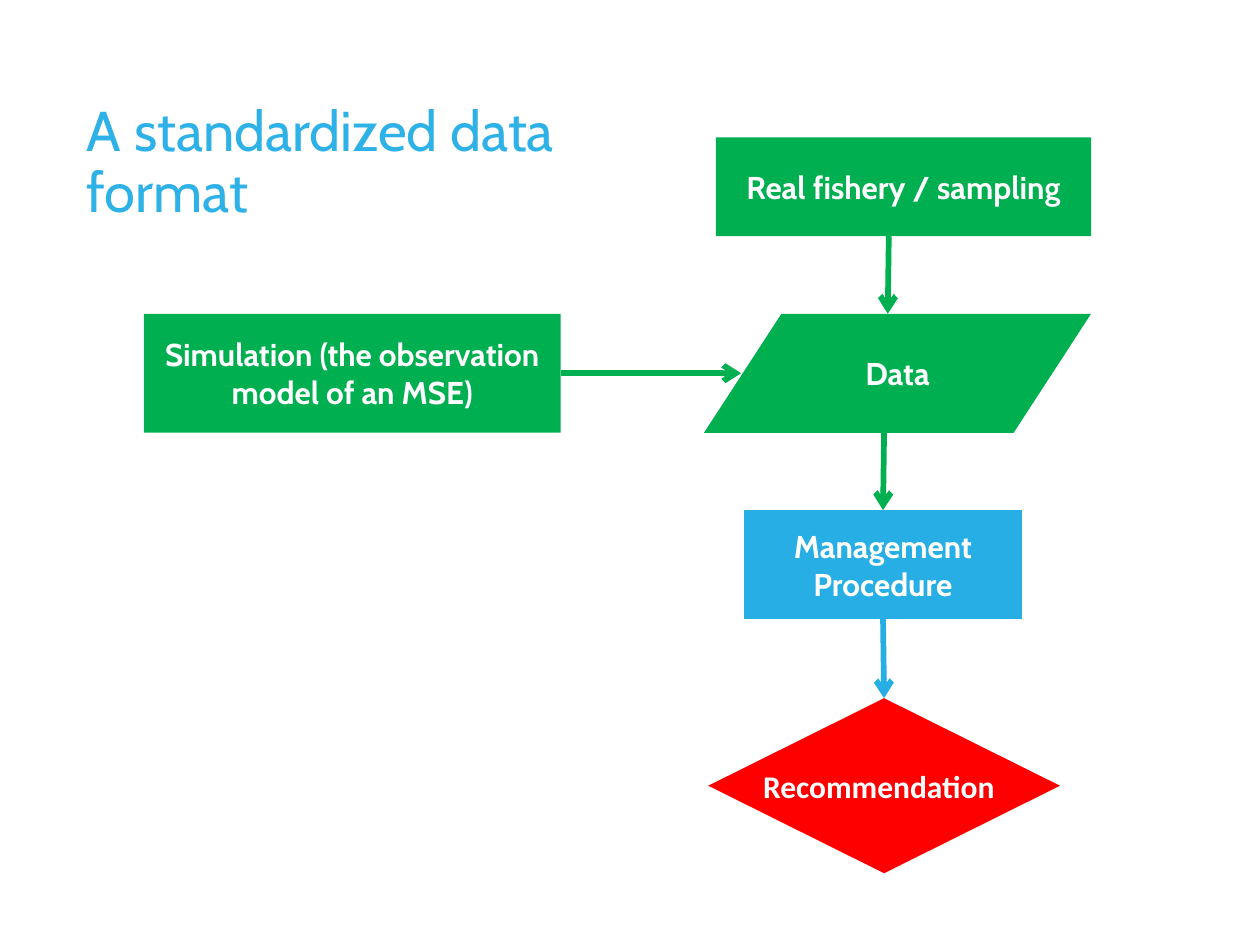
from dataclasses import dataclass

from lxml import etree
from pptx import Presentation
from pptx.dml.color import RGBColor
from pptx.enum import shapes, text
from pptx.oxml import ns
from pptx.slide import Slide
from pptx.text.text import TextFrame
from pptx.util import Pt


@dataclass(frozen=True)
class Theme:
    heading: str = "2EB1E6"
    data: str = "00B050"
    procedure: str = "27AFE5"
    advice: str = "FF0000"
    label: str = "FFFFFF"
    font: str = "Cabin"
    advice_font: str = "Calibri"
    heading_size: float = 32
    label_size: float = 18
    arrow_width: float = 3.25


@dataclass(frozen=True)
class Step:
    """A flow chart step; lengths are in points."""
    label: str
    kind: shapes.MSO_SHAPE
    left: float
    top: float
    width: float
    height: float
    color: str

    @property
    def bottom(self) -> float:
        return self.top + self.height

    @property
    def right(self) -> float:
        return self.left + self.width

    @property
    def middle(self) -> float:
        return self.top + self.height / 2


@dataclass(frozen=True)
class Flow:
    """An arrow between two points; lengths are in points."""
    x1: float
    y1: float
    x2: float
    y2: float
    color: str


THEME = Theme()
KIND = shapes.MSO_SHAPE

FISHERY = Step("Real fishery / sampling", KIND.RECTANGLE,
               409, 78.5, 214.5, 56.5, THEME.data)
SIMULATION = Step("Simulation (the observation model of an MSE)", KIND.RECTANGLE,
                  82.2, 179.3, 238.2, 68, THEME.data)
DATA = Step("Data", KIND.FLOWCHART_DATA,
            402.3, 179.3, 221.2, 68, THEME.data)
PROCEDURE = Step("Management Procedure", KIND.FLOWCHART_PROCESS,
                 425.2, 291.5, 158.6, 62.3, THEME.procedure)
ADVICE = Step("", KIND.FLOWCHART_DECISION,
              404.7, 399, 201, 100, THEME.advice)
STEPS = (FISHERY, SIMULATION, DATA, PROCEDURE, ADVICE)

FLOWS = (
    Flow(507.9, FISHERY.bottom, 507.3, DATA.top, THEME.data),
    Flow(SIMULATION.right, SIMULATION.middle, 423.5, DATA.middle, THEME.data),
    Flow(505.2, DATA.bottom, 504.6, PROCEDURE.top, THEME.data),
    Flow(504.6, PROCEDURE.bottom, 505.2, ADVICE.top, THEME.procedure),
)


def style_text(frame: TextFrame, font_name: str, size: float, color: str,
               bold: bool, align: text.PP_ALIGN) -> None:
    for paragraph in frame.paragraphs:
        paragraph.alignment = align
        for run in paragraph.runs:
            run.font.name = font_name
            run.font.size = Pt(size)
            run.font.bold = bold
            run.font.color.rgb = RGBColor.from_string(color)


def add_heading(slide: Slide) -> None:
    heading = slide.shapes.title
    heading.left, heading.top = Pt(42.5), Pt(20.9)
    heading.width, heading.height = Pt(288), Pt(145.4)
    frame = heading.text_frame
    frame.text = "A standardized data format"
    frame.vertical_anchor = text.MSO_ANCHOR.MIDDLE
    frame.paragraphs[0].line_spacing = 0.9
    style_text(frame, THEME.font, THEME.heading_size, THEME.heading,
               False, text.PP_ALIGN.LEFT)


def add_step(slide: Slide, step: Step) -> None:
    box = slide.shapes.add_shape(step.kind, Pt(step.left), Pt(step.top),
                                 Pt(step.width), Pt(step.height))
    box.shadow.inherit = False
    box.fill.solid()
    box.fill.fore_color.rgb = RGBColor.from_string(step.color)
    box.line.fill.background()
    if step.label:
        frame = box.text_frame
        frame.text = step.label
        frame.word_wrap = True
        frame.vertical_anchor = text.MSO_ANCHOR.MIDDLE
        style_text(frame, THEME.font, THEME.label_size, THEME.label,
                   True, text.PP_ALIGN.CENTER)


def add_flow(slide: Slide, flow: Flow) -> None:
    arrow = slide.shapes.add_connector(
        shapes.MSO_CONNECTOR.STRAIGHT,
        Pt(flow.x1), Pt(flow.y1), Pt(flow.x2), Pt(flow.y2))
    arrow.line.color.rgb = RGBColor.from_string(flow.color)
    arrow.line.width = Pt(THEME.arrow_width)
    properties = arrow.line._get_or_add_ln()
    etree.SubElement(properties, ns.qn("a:tailEnd"), type="arrow")
    etree.SubElement(arrow._element.spPr, ns.qn("a:effectLst"))


def add_advice_label(slide: Slide) -> None:
    label = slide.shapes.add_textbox(Pt(429), Pt(435), Pt(155), Pt(29))
    frame = label.text_frame
    frame.text = "Recommendation"
    frame.word_wrap = True
    frame.auto_size = text.MSO_AUTO_SIZE.SHAPE_TO_FIT_TEXT
    style_text(frame, THEME.advice_font, THEME.label_size, THEME.label,
               True, text.PP_ALIGN.LEFT)


def main() -> None:
    deck = Presentation()
    deck.slide_width, deck.slide_height = Pt(720), Pt(540)
    title_only = deck.slide_layouts[5]
    slide = deck.slides.add_slide(title_only)
    add_heading(slide)
    for step in STEPS:
        add_step(slide, step)
    for flow in FLOWS:
        add_flow(slide, flow)
    add_advice_label(slide)
    deck.save("out.pptx")


if __name__ == "__main__":
    main()
